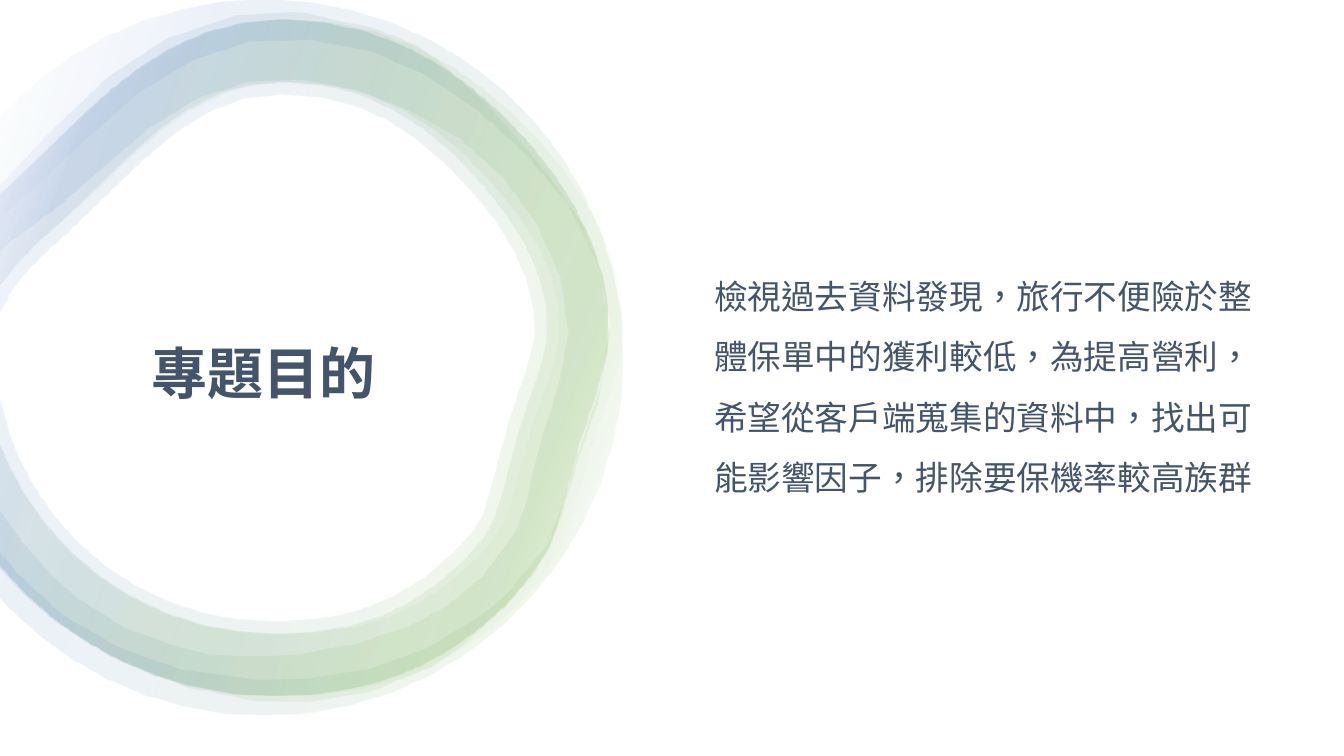
from math import ceil, dist
from pptx import Presentation
from pptx.dml.color import RGBColor
from pptx.enum.lang import MSO_LANGUAGE_ID
from pptx.enum.shapes import MSO_SHAPE
from pptx.enum.text import MSO_ANCHOR, MSO_AUTO_SIZE, PP_ALIGN
from pptx.oxml import parse_xml
from pptx.oxml.ns import nsdecls, qn
from pptx.util import Pt

PX = 9144
WIDE, HIGH = 1333, 750
FINE = 10
REACH = 40
HUE = {"white": "FFFFFF", "green": "70AD47", "blue": "4472C4", "ink": "44546A"}

BLEND = [(2, "white"), (16, "green"), (85, "blue"), (100, "white")]
SOFT = [(37, "green"), (85, "blue"), (100, "white")]
LEAF = [(2, "white"), (54, "green"), (100, "white")]
DISC = [(2, "white"), (16, "green"), (74, "blue"), (100, "white")]

RIM = [
    (-1, 193), (8, 185), (23, 171, 39, 156, 55, 140),
    (118, 77, 182, 19, 278, 19), (383, 19, 461, 70, 525, 143),
    (578, 205, 625, 294, 591, 387), (545, 511, 565, 535, 502, 598),
    (439, 661, 367, 690, 270, 690), (175, 690, 89, 651, 26, 589),
    (18, 581, 10, 573, 3, 564), (-1, 559),
]
THICK = [
    (-1, 384), (1, 396), (5, 414, 10, 432, 17, 449),
    (32, 482, 52, 512, 77, 537), (129, 588, 198, 616, 271, 616),
    (348, 616, 401, 595, 450, 546), (467, 530, 473, 520, 476, 513),
    (481, 503, 484, 489, 489, 470), (496, 445, 504, 410, 522, 362),
    (532, 335, 531, 308, 521, 277), (511, 249, 494, 220, 469, 192),
    (440, 159, 412, 135, 382, 118), (350, 101, 316, 93, 278, 93),
    (212, 93, 165, 134, 107, 192), (94, 205, 81, 217, 69, 229),
    (45, 250, 25, 268, 12, 288), (6, 296, 2, 304, -1, 313),
]
THIN = [
    (-1, 435), (6, 454), (21, 488, 42, 519, 69, 546),
    (123, 599, 194, 628, 270, 628), (311, 628, 346, 623, 376, 611),
    (406, 599, 433, 581, 459, 555), (477, 537, 483, 526, 487, 518),
    (492, 507, 496, 493, 501, 473), (507, 448, 516, 413, 534, 366),
    (544, 337, 544, 306, 533, 273), (523, 244, 504, 213, 478, 184),
    (449, 149, 419, 125, 388, 108), (354, 89, 318, 81, 278, 81),
    (246, 81, 217, 89, 186, 108), (155, 127, 126, 156, 98, 184),
    (85, 197, 73, 208, 60, 220), (36, 241, 16, 260, 2, 281), (-1, 285),
]
ROUND = [
    (-1, 118), (12, 104), (76, 40, 164, 0, 262, 0),
    (458, 0, 617, 159, 617, 354), (617, 550, 458, 709, 262, 709),
    (164, 709, 76, 669, 12, 605), (-1, 591),
]
HOLE = [
    (-1, 545), (16, 566), (62, 609), (119, 642), (178, 663), (256, 673), (303, 672),
    (365, 663), (423, 642), (477, 609), (501, 589), (541, 541), (553, 511),
    (572, 449), (593, 386), (604, 323), (591, 260), (562, 203), (521, 154),
    (474, 111), (423, 76), (367, 51), (307, 40), (246, 42), (189, 61),
    (137, 93), (89, 135), (41, 180), (-1, 218),
]
WAVE = [
    (-1, 185), (49, 132), (108, 76), (165, 39), (233, 16), (287, 13), (304, 14),
    (372, 29), (412, 45), (433, 60), (483, 104), (515, 141), (546, 178),
    (575, 220), (593, 264), (604, 330), (593, 397), (573, 454), (556, 512),
    (544, 544), (504, 598), (455, 642), (427, 661), (365, 686), (299, 696),
    (250, 694), (185, 681), (110, 650), (55, 616), (24, 589), (-1, 562),
]
CORE = [
    (-1, 504), (24, 539), (53, 571), (75, 591), (124, 622), (180, 642), (208, 648),
    (252, 650), (296, 648), (352, 638), (406, 620), (443, 600), (477, 572),
    (510, 528), (520, 502), (534, 443), (553, 383), (563, 330), (555, 275),
    (532, 223), (498, 176), (454, 137), (403, 109), (352, 89), (298, 80),
    (245, 82), (196, 98), (149, 127), (104, 165), (57, 206), (8, 242), (-1, 250),
]


def trace(rows):
    """Turn rows of line ends (2 numbers) and curves (6 numbers) into points."""
    dots = [rows[0]]
    for row in rows[1:]:
        if len(row) == 2:
            dots.append(row)
            continue
        knots = [dots[-1], row[:2], row[2:4], row[4:]]
        steps = ceil(dist(knots[0], knots[3]) / REACH)
        for step in range(1, steps + 1):
            t = step / steps
            parts = ((1 - t) ** 3, 3 * t * (1 - t) ** 2, 3 * t * t * (1 - t), t ** 3)
            dots.append(tuple(sum(w * k[i] for w, k in zip(parts, knots)) for i in (0, 1)))
    return dots


def tint(shape, stops):
    """Give a shape a faint slanted gradient and no line."""
    shape.shadow.inherit = False
    shape.line.fill.background()
    shape.fill.background()
    marks = "".join(
        f'<a:gs pos="{at * 1000}"><a:srgbClr val="{HUE[name]}">'
        '<a:alpha val="10000"/></a:srgbClr></a:gs>' for at, name in stops)
    grad = parse_xml(f'<a:gradFill {nsdecls("a")} rotWithShape="1"><a:gsLst>{marks}'
                     '</a:gsLst><a:lin ang="12000000" scaled="0"/></a:gradFill>')
    props = shape.element.spPr
    props.replace(props.find(qn("a:noFill")), grad)


def write(shape, text, size, bold=False, align=PP_ALIGN.LEFT, lead=1.0, after=0):
    """Put formatted text in a shape."""
    frame = shape.text_frame
    frame.word_wrap = True
    frame.auto_size = MSO_AUTO_SIZE.NONE
    frame.vertical_anchor = MSO_ANCHOR.MIDDLE
    para = frame.paragraphs[0]
    para.alignment, para.line_spacing = align, lead
    para.space_before, para.space_after = Pt(0), Pt(after)
    run = para.add_run()
    run.text = text
    font = run.font
    font.name, font.size, font.bold = "Calibri", Pt(size), bold
    font.language_id = MSO_LANGUAGE_ID.TRADITIONAL_CHINESE
    font.color.rgb = RGBColor.from_string(HUE["ink"])


def scale(box):
    """Turn a box in px into EMU."""
    return [side * PX for side in box]


def ground(slide, box):
    """Lay a white sheet over the box."""
    sheet = slide.shapes.add_shape(MSO_SHAPE.RECTANGLE, *scale(box))
    sheet.shadow.inherit = False
    sheet.fill.solid()
    sheet.fill.fore_color.rgb = RGBColor.from_string(HUE["white"])
    sheet.line.fill.background()


def rings(slide, box):
    """Draw the overlapping rings from the top left of the box."""
    left, top = box[:2]
    group = slide.shapes.add_group_shape()
    thin = trace(RIM) + trace(THIN)
    wide = [(x * 1.024, y) for x, y in thin]
    for dots, stops in (
        (WAVE + CORE, SOFT),
        (wide, LEAF),
        (trace(RIM) + trace(THICK), BLEND),
        (thin, BLEND),
        (trace(ROUND) + HOLE, DISC),
    ):
        dots = [((left + x) * FINE, (top + y) * FINE) for x, y in dots]
        pen = group.shapes.build_freeform(*dots[0], scale=PX / FINE)
        pen.add_line_segments(dots[1:], close=True)
        tint(pen.convert_to_shape(), stops)


def heading(slide, box):
    """Place the title in the box, in front of the rings."""
    title = slide.shapes.title
    title.left, title.top, title.width, title.height = scale(box)
    title.element.getparent().append(title.element)
    write(title, "專題目的", 40, bold=True, lead=0.9)


def body(slide, box):
    """Place the statement of purpose in the box."""
    note = slide.shapes.add_textbox(*scale(box))
    write(note, "檢視過去資料發現，旅行不便險於整體保單中的獲利較低，為提高營利，"
          "希望從客戶端蒐集的資料中，找出可能影響因子，排除要保機率較高族群",
          24, align=PP_ALIGN.CENTER, lead=1.5, after=6)


def main():
    """Build and save the slide."""
    deck = Presentation()
    deck.slide_width, deck.slide_height = WIDE * PX, HIGH * PX
    slide = deck.slides.add_slide(deck.slide_layouts[5])
    ground(slide, (0, 0, WIDE, HIGH))
    rings(slide, (0, 0, 617, 709))
    heading(slide, (140, 327, 249, 92))
    body(slide, (685, 207, 580, 333))
    deck.save("out.pptx")


if __name__ == "__main__":
    main()
